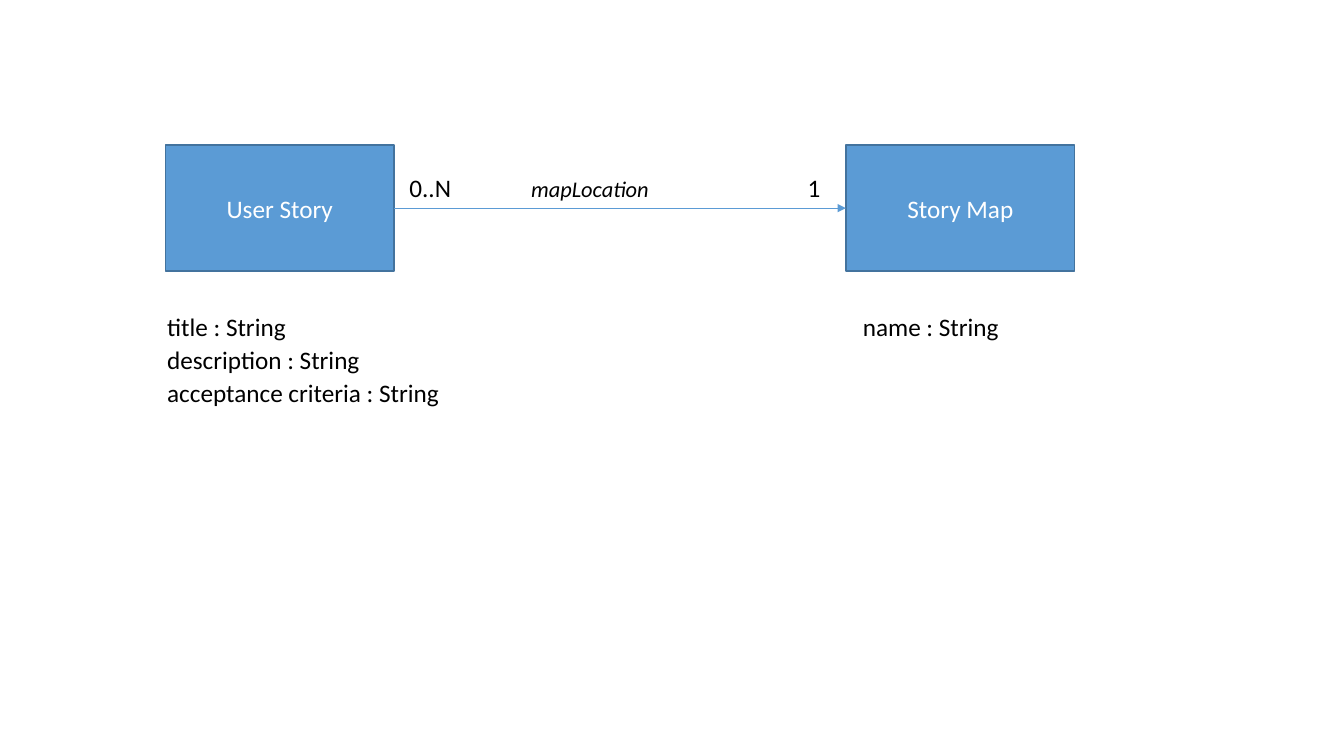
import pptx
import pptx.util
import pptx.dml.color
import pptx.enum.shapes
import pptx.enum.text
import pptx.oxml.ns
import lxml.etree

Inches, Pt = pptx.util.Inches, pptx.util.Pt
RGB = pptx.dml.color.RGBColor.from_string
Align, Anchor = pptx.enum.text.PP_ALIGN, pptx.enum.text.MSO_ANCHOR
Fit = pptx.enum.text.MSO_AUTO_SIZE
qn = pptx.oxml.ns.qn

COLORS = {"fill": "5B9BD5", "edge": "43739E", "text": "000000", "name": "FFFFFF"}
FONT = "Calibri"

ENTITIES = [
    {"name": "User Story", "left": 1.64, "inset": 1.56,
     "fields": [("title : String", 1.39), ("description : String", 2.13),
                ("acceptance criteria : String", 2.93)]},
    {"name": "Story Map", "left": 8.39, "inset": 8.46,
     "fields": [("name : String", 1.57)]},
]
ENDS = [("0..N", 4.02, 0.5), ("1", 7.97, 0.21)]
LINK = "mapLocation"
TOP, WIDTH, HEIGHT = 1.44, 2.27, 1.25
FIELD_TOP, PITCH = 3.04, 0.325

deck = pptx.Presentation()
deck.slide_width, deck.slide_height = Inches(13.33), Inches(7.5)
slide = deck.slides.add_slide(deck.slide_layouts[6])


def write(frame, text, color="text", size=18, italic=False):
    para = frame.paragraphs[0]
    run = para.add_run()
    run.text = text
    run.font.name, run.font.size = FONT, Pt(size)
    run.font.italic = italic
    run.font.color.rgb = RGB(COLORS[color])
    return para


def label(text, left, top, width, height, wrap=False, pad=None, **style):
    box = slide.shapes.add_textbox(*map(Inches, (left, top, width, height)))
    frame = box.text_frame
    frame.word_wrap = wrap
    frame.auto_size = Fit.SHAPE_TO_FIT_TEXT
    if pad is not None:
        frame.margin_left = frame.margin_right = Inches(pad)
        frame.margin_top = frame.margin_bottom = Inches(pad)
    write(frame, text, **style)


def entity(name, left):
    box = slide.shapes.add_shape(
        pptx.enum.shapes.MSO_SHAPE.RECTANGLE,
        *map(Inches, (left, TOP, WIDTH, HEIGHT)))
    box.shadow.inherit = False
    box.fill.solid()
    box.fill.fore_color.rgb = RGB(COLORS["fill"])
    box.line.color.rgb = RGB(COLORS["edge"])
    box.line.width = Pt(1)
    box.text_frame.word_wrap = True
    box.text_frame.vertical_anchor = Anchor.MIDDLE
    write(box.text_frame, name, "name").alignment = Align.CENTER
    return box


def arrow(start, end):
    line = slide.shapes.add_connector(
        pptx.enum.shapes.MSO_CONNECTOR.STRAIGHT, 0, 0, 0, 0)
    line.begin_connect(start, 3)
    line.end_connect(end, 1)
    line.line.color.rgb = RGB(COLORS["fill"])
    line.line.width = Pt(0.5)
    lxml.etree.SubElement(line.line._get_or_add_ln(), qn("a:tailEnd"), type="triangle")
    lxml.etree.SubElement(line._element.spPr, qn("a:effectLst"))


boxes = []
for item in ENTITIES:
    boxes.append(entity(item["name"], item["left"]))
    for row, (text, width) in enumerate(item["fields"]):
        label(text, item["inset"], FIELD_TOP + row * PITCH, width, 0.4)

arrow(*boxes)
label(LINK, 5.17, 1.69, 1.42, 0.37, wrap=True, size=16, italic=True)
for text, left, width in ENDS:
    label(text, left, 1.67, width, 0.38, pad=0.04)

deck.save("out.pptx")
